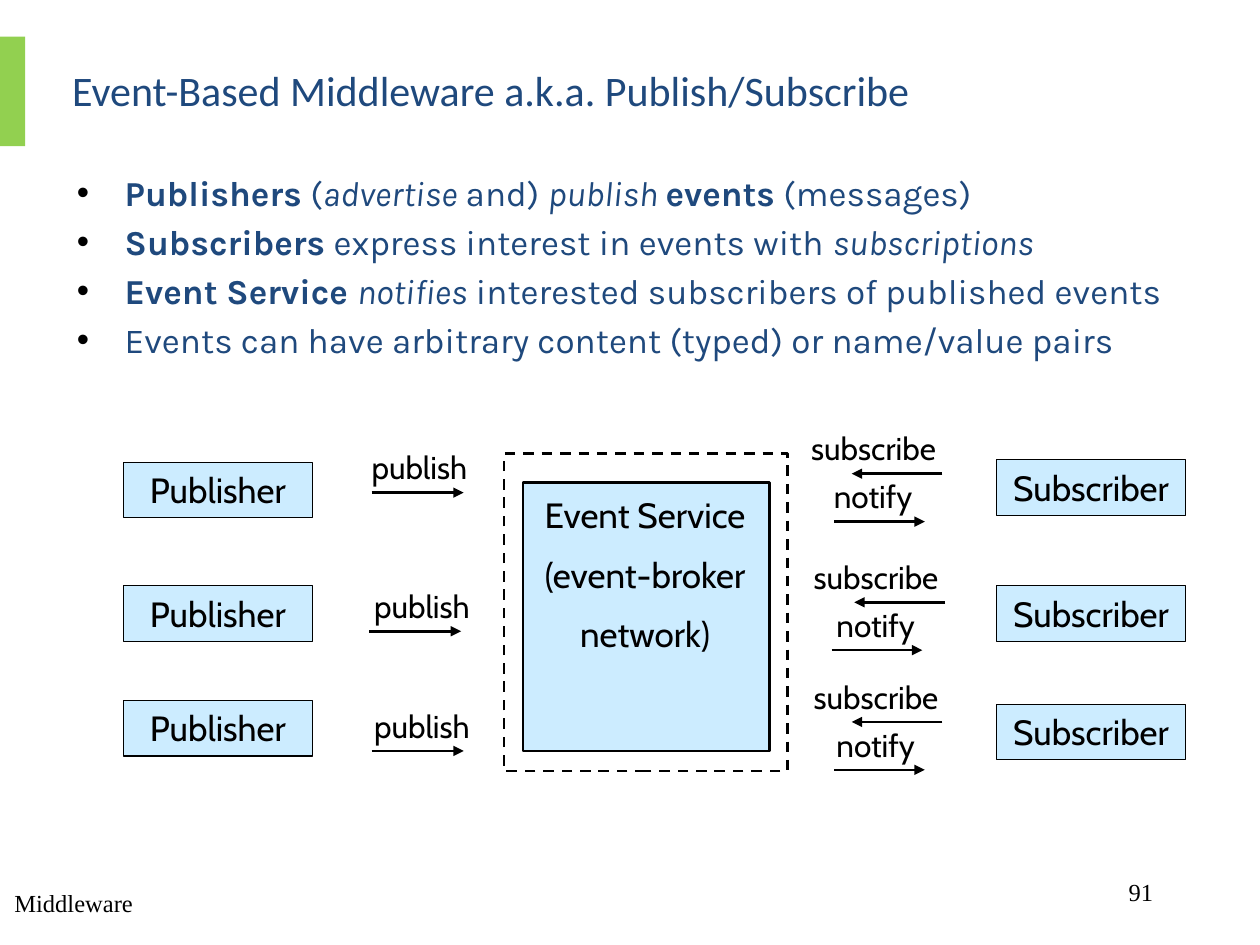
from lxml.etree import SubElement
from pptx import Presentation
from pptx.dml.color import RGBColor
from pptx.enum.dml import MSO_LINE_DASH_STYLE as Dash
from pptx.enum.shapes import MSO_CONNECTOR as Conn, MSO_SHAPE as Shape
from pptx.enum.text import MSO_ANCHOR as Anchor, MSO_AUTO_SIZE as AutoSize, PP_ALIGN as Align
from pptx.oxml.ns import qn
from pptx.util import Emu, Pt

PX = 9144
COLORS = {"accent": "92D050", "heading": "1F497D", "ink": "000000", "box": "CCECFF"}

BULLETS = [
    [("Publishers", "b"), (" (", ""), ("advertise", "i"), (" and) ", ""),
     ("publish ", "i"), ("events", "b"), (" (messages)", "")],
    [("Subscribers", "b"), (" express interest in events with ", ""), ("subscriptions", "i")],
    [("Event Service ", "b"), ("notifies", "i"),
     (" interested subscribers of published events", "")],
    [("Events can have arbitrary content (typed) or name/value pairs", "")],
]


def px(*values):
    return [Emu(v * PX) for v in values]


def color(name):
    return RGBColor.from_string(COLORS[name])


def add_run(p, text, size, font, ink="ink", style=""):
    r = p.add_run()
    r.text = text
    r.font.size, r.font.name = Pt(size), font
    r.font.bold, r.font.italic = "b" in style, "i" in style
    r.font.color.rgb = color(ink)


def fill_text(tf, lines, size, font, align=Align.LEFT, gap=0):
    for i, line in enumerate(lines):
        p = tf.add_paragraph() if i else tf.paragraphs[0]
        p.alignment = align
        p.space_before = Pt(gap if i else 0)
        add_run(p, line, size, font)


def add_rect(s, box, fill=None, line=0.75, dash=None):
    sp = s.shapes.add_shape(Shape.RECTANGLE, *px(*box))
    sp.shadow.inherit = False
    if fill:
        sp.fill.solid()
        sp.fill.fore_color.rgb = color(fill)
    else:
        sp.fill.background()
    if line:
        sp.line.color.rgb = color("ink")
        sp.line.width = Pt(line)
        sp.line.dash_style = dash
    else:
        sp.line.fill.background()
    return sp


def add_text(s, box, lines, size, font, align=Align.LEFT, anchor=Anchor.TOP, wrap=True, gap=0):
    tf = s.shapes.add_textbox(*px(*box)).text_frame
    tf.word_wrap, tf.vertical_anchor = wrap, anchor
    fill_text(tf, lines, size, font, align, gap)


def add_arrow(s, x1, x2, y):
    c = s.shapes.add_connector(Conn.STRAIGHT, *px(x1, y, x2, y))
    c.line.color.rgb = color("ink")
    c.line.width = Pt(1.5)
    SubElement(c.line._get_or_add_ln(), qn("a:tailEnd"), type="triangle")
    SubElement(c._element.spPr, qn("a:effectLst"))


def place(sp, box, anchor):
    sp.left, sp.top, sp.width, sp.height = px(*box)
    tf = sp.text_frame
    tf.word_wrap, tf.auto_size, tf.vertical_anchor = True, AutoSize.NONE, anchor
    return tf


def add_title(s, box):
    p = place(s.shapes.title, box, Anchor.MIDDLE).paragraphs[0]
    p.alignment = Align.CENTER
    add_run(p, "Event-Based Middleware a.k.a. Publish/Subscribe", 24, "Calibri", "heading")


def add_bullets(s, box):
    tf = place(s.placeholders[1], box, Anchor.TOP)
    for i, runs in enumerate(BULLETS):
        p = tf.add_paragraph() if i else tf.paragraphs[0]
        p.space_before = Pt(4 if i else 0)
        pPr = p._p.get_or_add_pPr()
        pPr.set("marL", str(38 * PX))
        pPr.set("indent", str(-38 * PX))
        SubElement(SubElement(pPr, qn("a:buClr")), qn("a:srgbClr"), val=COLORS["ink"])
        SubElement(pPr, qn("a:buFont"), typeface="Arial")
        SubElement(pPr, qn("a:buChar"), char="•")
        for text, style in runs:
            add_run(p, text, 20, "Karla", "heading", style)


def add_clients(s, x, tops, name):
    for y in tops:
        tf = add_rect(s, (x, y, 150, 44), "box").text_frame
        tf.word_wrap, tf.vertical_anchor = True, Anchor.TOP
        fill_text(tf, [name], 20, "Cabin", Align.CENTER)


def add_message(s, label, label_x, label_w, x1, x2, y):
    add_arrow(s, x1, x2, y)
    add_text(s, (label_x, y - 40, label_w, 40), [label], 18, "Cabin", wrap=False)


def add_service(s, box):
    x, y, w, h = box
    add_rect(s, (x + 15, y + 23, 196, 213), "box", 1.5)
    add_text(s, (x - 2, y + 27, w + 3, 145), ["Event Service", "(event-broker", "network)"],
             20, "Cabin", Align.CENTER, gap=10)
    add_rect(s, box, line=1.5, dash=Dash.DASH)


def add_diagram(s, box):
    x, y, w, h = box
    add_service(s, (x + 302, y, 225, h))
    add_clients(s, x, [y + 7, y + 105, y + 196], "Publisher")
    add_clients(s, x + w - 150, [y + 5, y + 105, y + 199], "Subscriber")
    rows = [(0, 31, 16, 0, 0), (2, 141, 118, -2, 2), (2, 236, 213, 0, 0)]
    for label_dx, pub_y, sub_y, out_dx, in_dx in rows:
        pub_x, sub_x, note_x = x + 197 + out_dx, x + 650 + in_dx, x + 564 + out_dx
        add_message(s, "publish", x + 187 + label_dx, 98, pub_x, pub_x + 73, y + pub_y)
        add_message(s, "subscribe", x + 536 + label_dx, 123, sub_x, sub_x - 72, y + sub_y)
        add_message(s, "notify", x + 554 + label_dx, 82, note_x, note_x + 72, y + sub_y + 38)


def add_footer(s, box):
    x, y, w, h = box
    add_text(s, (x + 717, y, 208, h), ["91"], 14, "Times New Roman", Align.RIGHT, Anchor.MIDDLE)
    add_text(s, (x, y + 20, 117, 27), ["Middleware"], 14, "Times New Roman",
             Align.CENTER, Anchor.MIDDLE)


def main():
    prs = Presentation()
    prs.slide_width, prs.slide_height = px(1000, 750)
    s = prs.slides.add_slide(prs.slide_layouts[1])
    add_rect(s, (0, 29, 20, 87), "accent", line=0)
    add_title(s, (35, 29, 709, 85))
    add_bullets(s, (51, 131, 913, 188))
    add_diagram(s, (98, 360, 843, 252))
    add_footer(s, (0, 683, 1000, 50))
    prs.save("out.pptx")


if __name__ == "__main__":
    main()
